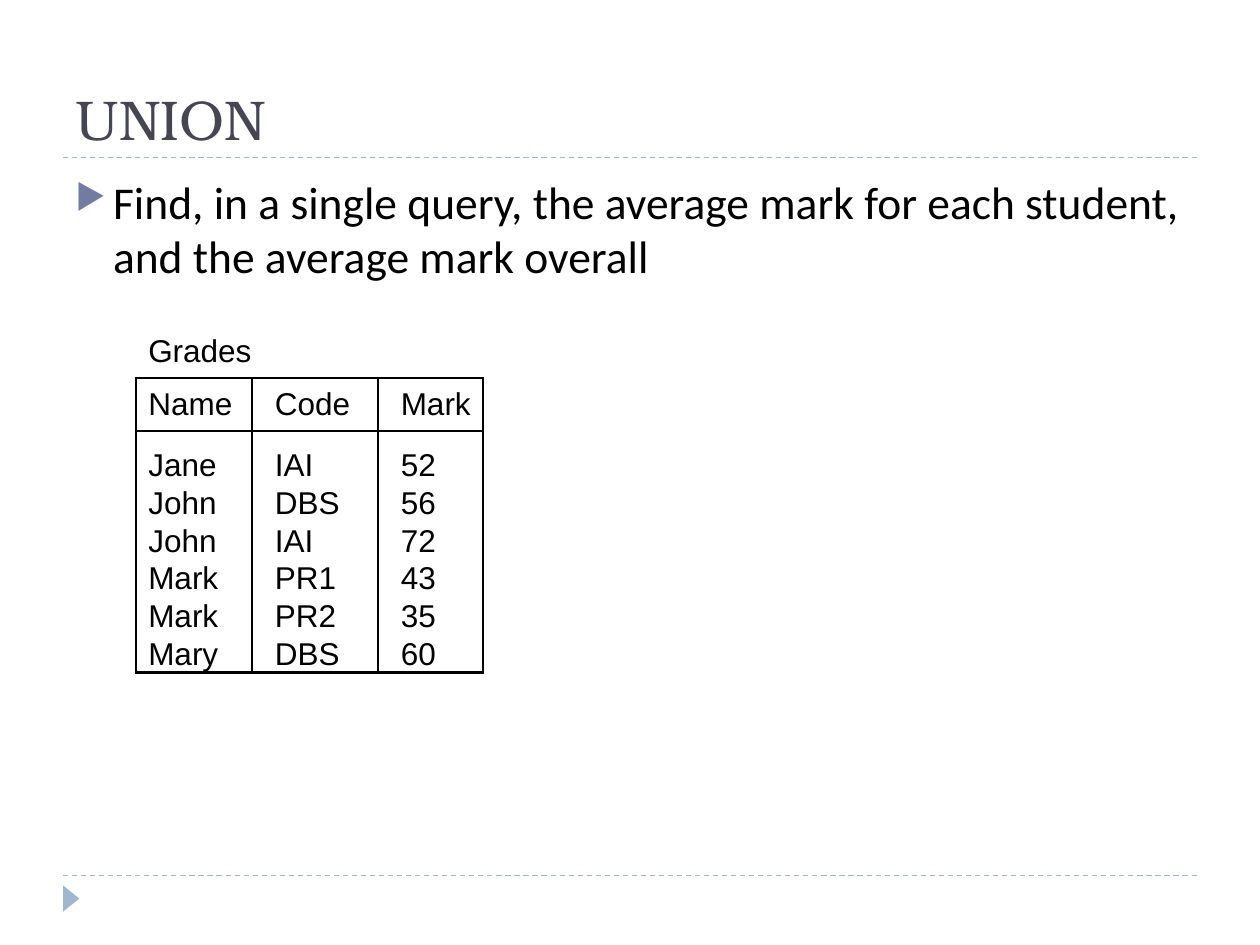
from collections import namedtuple
from dataclasses import dataclass

from lxml.etree import SubElement
from pptx import Presentation
from pptx.dml.color import RGBColor
from pptx.enum.dml import MSO_LINE
from pptx.enum.shapes import MSO_CONNECTOR, MSO_SHAPE
from pptx.enum.text import MSO_ANCHOR
from pptx.oxml import parse_xml
from pptx.oxml.ns import nsdecls, qn
from pptx.util import Cm, Pt

Box = namedtuple("Box", "left top width height")


@dataclass(frozen=True)
class Theme:
    title_font: str = "TeX Gyre Bonum"
    body_font: str = "Calibri"
    table_font: str = "Arial"
    title_size: float = 32
    body_size: float = 26
    table_size: float = 18
    title_color: str = "464653"
    text_color: str = "000000"
    accent_color: str = "9FB8CD"
    bullet_color: str = "727CA3"
    rule_width: float = 0.75
    border_width: float = 1.5


THEME = Theme()
GRADES = [
    ("Name", "Code", "Mark"),
    ("Jane", "IAI", "52"),
    ("John", "DBS", "56"),
    ("John", "IAI", "72"),
    ("Mark", "PR1", "43"),
    ("Mark", "PR2", "35"),
    ("Mary", "DBS", "60"),
]


def style_font(paragraph, name, size, color):
    paragraph.font.name = name
    paragraph.font.size = Pt(size)
    paragraph.font.color.rgb = RGBColor.from_string(color)


def add_text(slide, box, text, name, size, color, anchor=MSO_ANCHOR.TOP):
    shape = slide.shapes.add_textbox(*map(Cm, box))
    shape.text_frame.word_wrap = True
    shape.text_frame.vertical_anchor = anchor
    paragraph = shape.text_frame.paragraphs[0]
    paragraph.text = text
    style_font(paragraph, name, size, color)
    return paragraph


def add_rule(slide, left, top, width):
    rule = slide.shapes.add_connector(
        MSO_CONNECTOR.STRAIGHT, Cm(left), Cm(top), Cm(left + width), Cm(top))
    rule.line.color.rgb = RGBColor.from_string(THEME.accent_color)
    rule.line.width = Pt(THEME.rule_width)
    rule.line.dash_style = MSO_LINE.DASH
    SubElement(rule._element.spPr, qn("a:effectLst"))


def add_title(slide, box, text):
    add_rule(slide, box.left, box.top + box.height, box.width)
    add_text(slide, box, text, THEME.title_font, THEME.title_size,
             THEME.title_color, MSO_ANCHOR.BOTTOM)


def add_footer(slide, box):
    add_rule(slide, box.left, box.top, box.width)
    # Triangle is turned to point right
    marker = slide.shapes.add_shape(
        MSO_SHAPE.ISOSCELES_TRIANGLE, Cm(box.left - 0.1), Cm(box.top + 0.3),
        Cm(0.53), Cm(0.33))
    marker.rotation = 90
    marker.shadow.inherit = False
    marker.fill.solid()
    marker.fill.fore_color.rgb = RGBColor.from_string(THEME.accent_color)
    marker.line.fill.background()


def add_body(slide, box, text):
    paragraph = add_text(slide, box, text, THEME.body_font, THEME.body_size,
                         THEME.text_color)
    paragraph.space_before = Pt(6)
    properties = paragraph._p.get_or_add_pPr()
    properties.set("marL", str(Cm(0.76)))
    properties.set("indent", str(Cm(-0.76)))
    color = SubElement(properties, qn("a:buClr"))
    SubElement(color, qn("a:srgbClr"), val=THEME.bullet_color)
    SubElement(properties, qn("a:buSzPct"), val="76000")
    SubElement(properties, qn("a:buChar"), char="▶")
    # Bullet marks must come before the default font
    default_font = properties.find(qn("a:defRPr"))
    if default_font is not None:
        properties.append(default_font)


def set_borders(cell, visible_sides):
    properties = cell._tc.get_or_add_tcPr()
    for position, side in enumerate("LRTB"):
        paint = "<a:noFill/>"
        if side in visible_sides:
            paint = (f'<a:solidFill><a:srgbClr val="{THEME.text_color}"/>'
                     "</a:solidFill>")
        properties.insert(position, parse_xml(
            f'<a:ln{side} {nsdecls("a")} w="{Pt(THEME.border_width)}">'
            f"{paint}</a:ln{side}>"))


def add_grades(slide, box, caption, rows):
    caption_height, header_height, row_height = 1.07, 1.07, 0.76
    add_text(slide, Box(box.left, box.top, box.width, caption_height), caption,
             THEME.table_font, THEME.table_size, THEME.text_color)

    table_height = box.height - caption_height
    table = slide.shapes.add_table(
        len(rows), len(rows[0]), Cm(box.left), Cm(box.top + caption_height),
        Cm(box.width), Cm(table_height)).table
    table.first_row = table.horz_banding = False
    for column, width in zip(table.columns, (2.34, 2.54, box.width - 4.88)):
        column.width = Cm(width)

    # The first data row takes the extra space below the header
    last = len(rows) - 1
    first_height = table_height - header_height - row_height * (last - 1)
    heights = [header_height, first_height] + [row_height] * (last - 1)
    for row_index, values in enumerate(rows):
        table.rows[row_index].height = Cm(heights[row_index])
        sides = "LR" + "T" * (row_index < 2) + "B" * (row_index in (0, last))
        for column_index, value in enumerate(values):
            cell = table.cell(row_index, column_index)
            cell.margin_left = Cm(0.46 if column_index else 0.25)
            cell.margin_right = cell.margin_top = cell.margin_bottom = 0
            cell.vertical_anchor = (
                MSO_ANCHOR.BOTTOM if row_index else MSO_ANCHOR.MIDDLE)
            cell.fill.background()
            set_borders(cell, sides)
            paragraph = cell.text_frame.paragraphs[0]
            paragraph.text = value
            style_font(paragraph, THEME.table_font, THEME.table_size,
                       THEME.text_color)


def main():
    presentation = Presentation()
    presentation.slide_width, presentation.slide_height = Cm(25.4), Cm(19.05)
    slide = presentation.slides.add_slide(presentation.slide_layouts[6])

    add_footer(slide, Box(1.27, 17.65, 22.86, 0.8))
    add_title(slide, Box(1.27, 0.64, 22.86, 2.54), "UNION")
    add_body(slide, Box(1.27, 3.38, 22.86, 2.6),
             "Find, in a single query, the average mark for each student, "
             "and the average mark overall")
    add_grades(slide, Box(2.74, 6.55, 6.99, 6.99), "Grades", GRADES)

    presentation.save("out.pptx")


if __name__ == "__main__":
    main()
